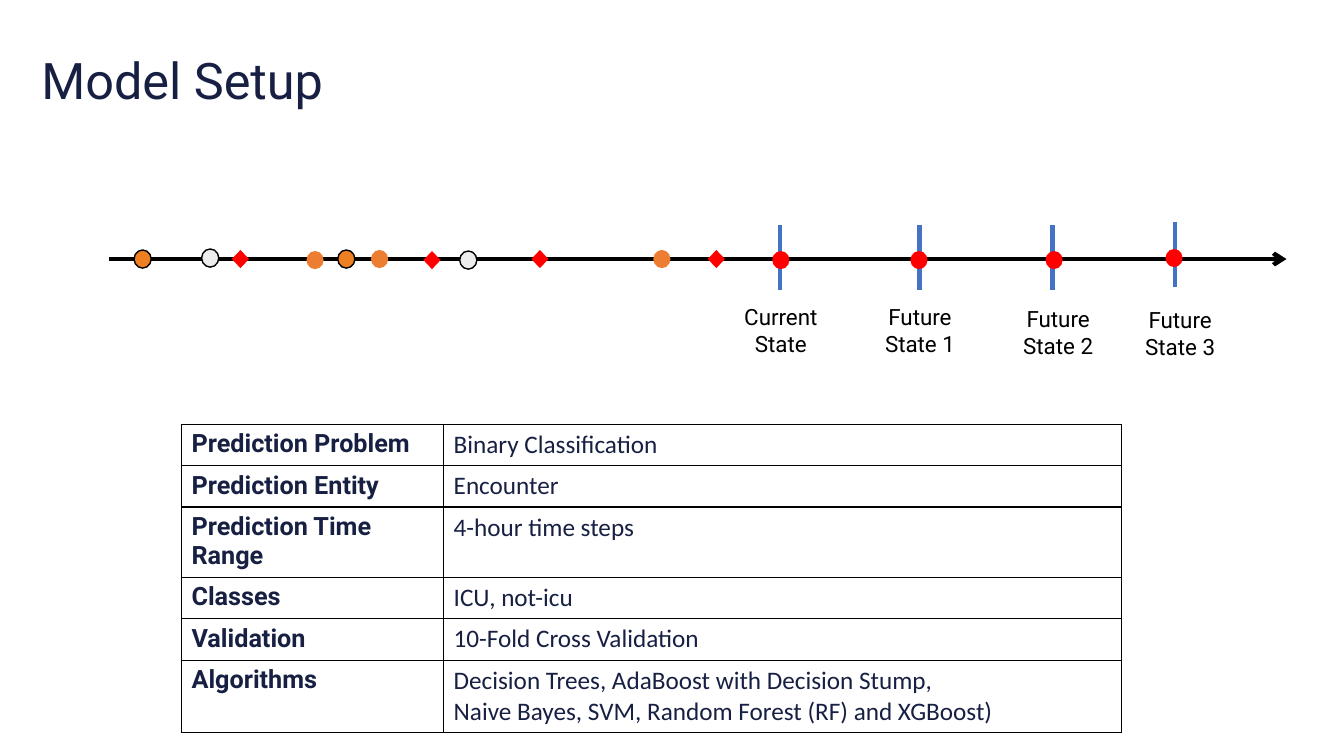
from dataclasses import dataclass
from typing import Any, Optional

import lxml.etree
import pptx
import pptx.dml.color
import pptx.enum.dml
import pptx.enum.shapes
import pptx.enum.text
import pptx.oxml.ns
import pptx.util

RGB = pptx.dml.color.RGBColor
Inches = pptx.util.Inches
Pt = pptx.util.Pt
qn = pptx.oxml.ns.qn
KIND = pptx.enum.shapes.MSO_SHAPE
ALIGN = pptx.enum.text.PP_ALIGN
ANCHOR = pptx.enum.text.MSO_ANCHOR
FIT = pptx.enum.text.MSO_AUTO_SIZE

NAVY = RGB(0x17, 0x20, 0x43)
BLACK = RGB(0, 0, 0)
RED = RGB(0xFF, 0, 0)
BLUE = RGB(0x44, 0x72, 0xC4)
GREY = RGB(0xED, 0xED, 0xED)
ORANGE = RGB(0xED, 0x7D, 0x31)
AMBER = RGB(0xEE, 0x7F, 0x22)

AXIS_Y = 2.57
MARK_W, MARK_H = 0.17, 0.18
TICK_H = 0.65
LABEL_W, LABEL_H = 1.21, 0.71


@dataclass
class Mark:
    left: float
    top: float
    fill: RGB
    kind: Any = KIND.FLOWCHART_CONNECTOR
    edge: Optional[RGB] = None


@dataclass
class State:
    text: str
    tick: float   # x of the tick
    top: float    # top of the tick
    dot: Mark
    left: float   # label corner
    label: float


MARKS = [
    Mark(1.33, 2.48, AMBER, edge=BLACK),
    Mark(2.00, 2.47, GREY, edge=BLACK),
    Mark(2.30, 2.48, RED, KIND.DIAMOND),
    Mark(3.04, 2.49, ORANGE),
    Mark(3.35, 2.48, AMBER, edge=BLACK),
    Mark(3.68, 2.48, ORANGE),
    Mark(4.20, 2.49, RED, KIND.DIAMOND),
    Mark(4.56, 2.49, GREY, edge=BLACK),
    Mark(5.27, 2.48, RED, KIND.DIAMOND),
    Mark(6.48, 2.48, ORANGE),
    Mark(7.02, 2.48, RED, KIND.DIAMOND),
]
STATES = [
    State("Current State", 7.74, 2.23, Mark(7.66, 2.49, RED), 7.14, 2.92),
    State("Future State 1", 9.12, 2.23, Mark(9.03, 2.49, RED), 8.52, 2.92),
    State("Future State 2", 10.44, 2.23, Mark(10.37, 2.49, RED), 9.89, 2.94),
    State("Future State 3", 11.65, 2.20, Mark(11.56, 2.47, RED), 11.10, 2.95),
]
ROWS = [
    ("Prediction Problem", "Binary Classification", 0.41),
    ("Prediction Entity", "Encounter", 0.41),
    ("Prediction Time Range", "4-hour time steps", 0.69),
    ("Classes", "ICU, not-icu", 0.41),
    ("Validation", "10-Fold Cross Validation", 0.41),
    ("Algorithms", "Decision Trees, AdaBoost with Decision Stump,\n"
     "Naive Bayes, SVM, Random Forest (RF) and XGBoost)", 0.72),
]
COLS = (2.6, 6.72)

TITLE = {"name": "Roboto", "size": Pt(36), "bold": False}
LABEL = {"name": "Roboto", "size": Pt(16)}
HEAD = {"name": "Roboto", "size": Pt(18), "bold": True}
BODY = {"name": "Calibri", "size": Pt(18), "bold": False}


def style(item: Any, values: dict) -> None:
    for key, value in values.items():
        setattr(item, key, value)


def ink(frame: Any, values: dict, color: RGB) -> None:
    for para in frame.paragraphs:
        style(para.font, values)
        para.font.color.rgb = color


def draw_line(slide: Any, ends: tuple, color: RGB, arrow: bool = False) -> None:
    line = slide.shapes.add_connector(
        pptx.enum.shapes.MSO_CONNECTOR.STRAIGHT, *map(Inches, ends))
    line.line.color.rgb = color
    line.line.width = Pt(3)
    if arrow:
        lxml.etree.SubElement(line.line._get_or_add_ln(), qn("a:tailEnd"), type="arrow")
    lxml.etree.SubElement(line._element.spPr, qn("a:effectLst"))


def draw_mark(slide: Any, mark: Mark) -> None:
    box = (mark.left, mark.top, MARK_W, MARK_H)
    shape = slide.shapes.add_shape(mark.kind, *map(Inches, box))
    shape.shadow.inherit = False
    shape.fill.solid()
    shape.fill.fore_color.rgb = mark.fill
    if mark.edge is None:
        shape.line.fill.background()
    else:
        shape.line.color.rgb = mark.edge
        shape.line.width = Pt(1)


def draw_state(slide: Any, state: State) -> None:
    draw_line(slide, (state.tick, state.top, state.tick, state.top + TICK_H), BLUE)
    draw_mark(slide, state.dot)
    box = (state.left, state.label, LABEL_W, LABEL_H)
    shape = slide.shapes.add_shape(KIND.ROUNDED_RECTANGLE, *map(Inches, box))
    shape.shadow.inherit = False
    shape.fill.background()
    shape.line.fill.background()
    frame = shape.text_frame
    frame.text = state.text
    style(frame, {"word_wrap": True, "vertical_anchor": ANCHOR.MIDDLE,
                  "auto_size": FIT.SHAPE_TO_FIT_TEXT})
    frame.paragraphs[0].alignment = ALIGN.CENTER
    ink(frame, LABEL, BLACK)


def add_edges(cell: Any) -> None:
    props = cell._tc.get_or_add_tcPr()
    for side in ("a:lnL", "a:lnR", "a:lnT", "a:lnB"):
        edge = lxml.etree.SubElement(props, qn(side), w=str(Pt(1)))
        fill = lxml.etree.SubElement(edge, qn("a:solidFill"))
        lxml.etree.SubElement(fill, qn("a:srgbClr"), val=str(BLACK))


def draw_table(slide: Any) -> None:
    high = sum(row[2] for row in ROWS)
    box = (1.8, 4.21, sum(COLS), high)
    table = slide.shapes.add_table(len(ROWS), len(COLS), *map(Inches, box)).table
    style(table, {"first_row": False, "horz_banding": False})
    for col, width in zip(table.columns, COLS):
        col.width = Inches(width)
    for row, (head, body, height) in zip(table.rows, ROWS):
        row.height = Inches(height)
        for cell, text, font in zip(row.cells, (head, body), (HEAD, BODY)):
            cell.text = text
            ink(cell.text_frame, font, NAVY)
            add_edges(cell)
            cell.fill.background()


def main() -> None:
    deck = pptx.Presentation()
    style(deck, {"slide_width": Inches(13.33), "slide_height": Inches(7.5)})
    slide = deck.slides.add_slide(deck.slide_layouts[5])

    # Title
    title = slide.shapes.title
    style(title, {"left": Inches(0.31), "top": Inches(0.1),
                  "width": Inches(11.5), "height": Inches(1.45)})
    frame = title.text_frame
    frame.text = "Model Setup"
    style(frame, {"vertical_anchor": ANCHOR.MIDDLE, "auto_size": FIT.NONE})
    style(frame.paragraphs[0], {"alignment": ALIGN.LEFT, "line_spacing": 0.9})
    ink(frame, TITLE, NAVY)

    # Timeline
    draw_line(slide, (1.08, AXIS_Y, 12.76, AXIS_Y), BLACK, arrow=True)
    for mark in MARKS:
        draw_mark(slide, mark)
    for state in STATES:
        draw_state(slide, state)

    # Setup table
    draw_table(slide)
    deck.save("out.pptx")


if __name__ == "__main__":
    main()
